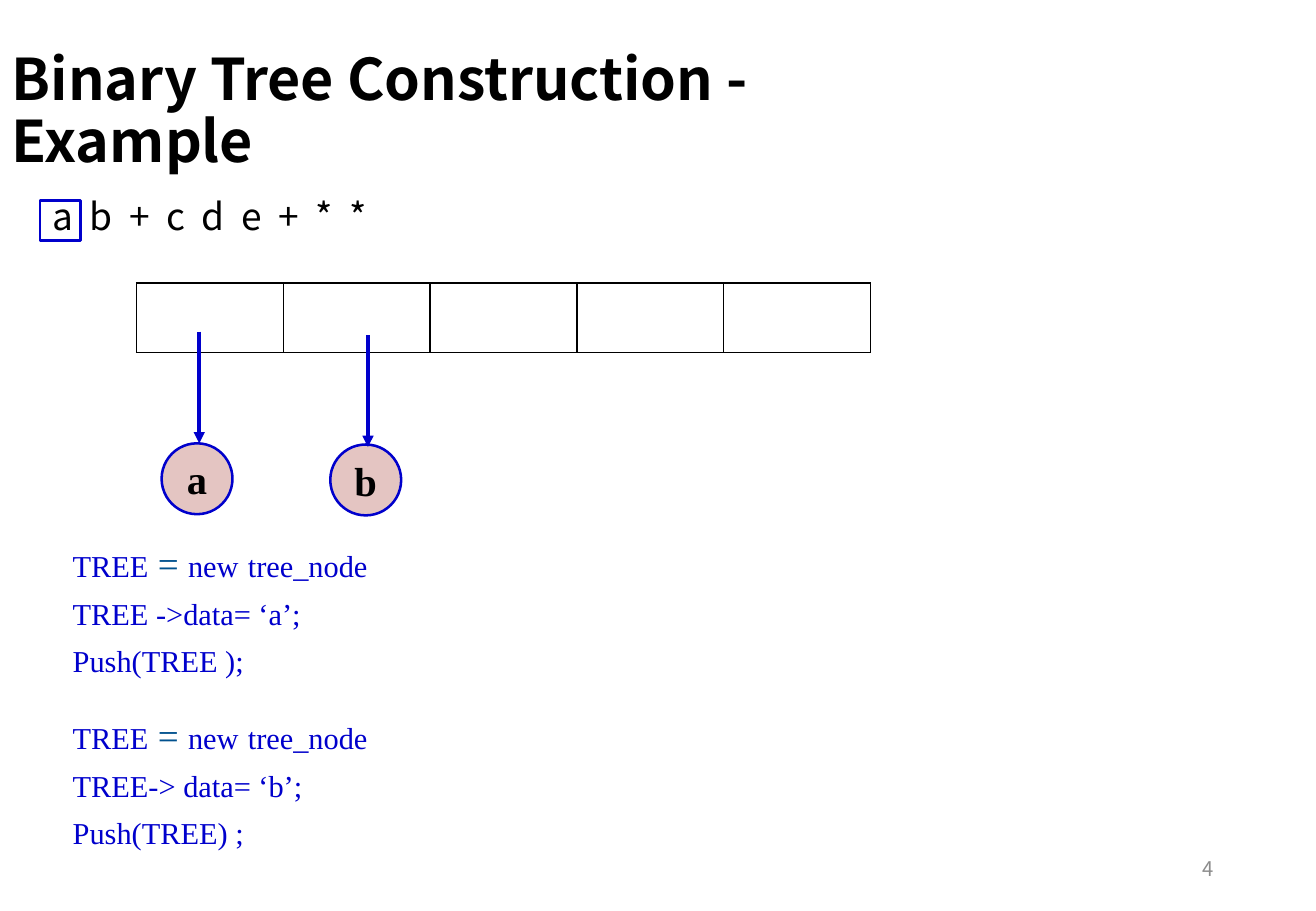
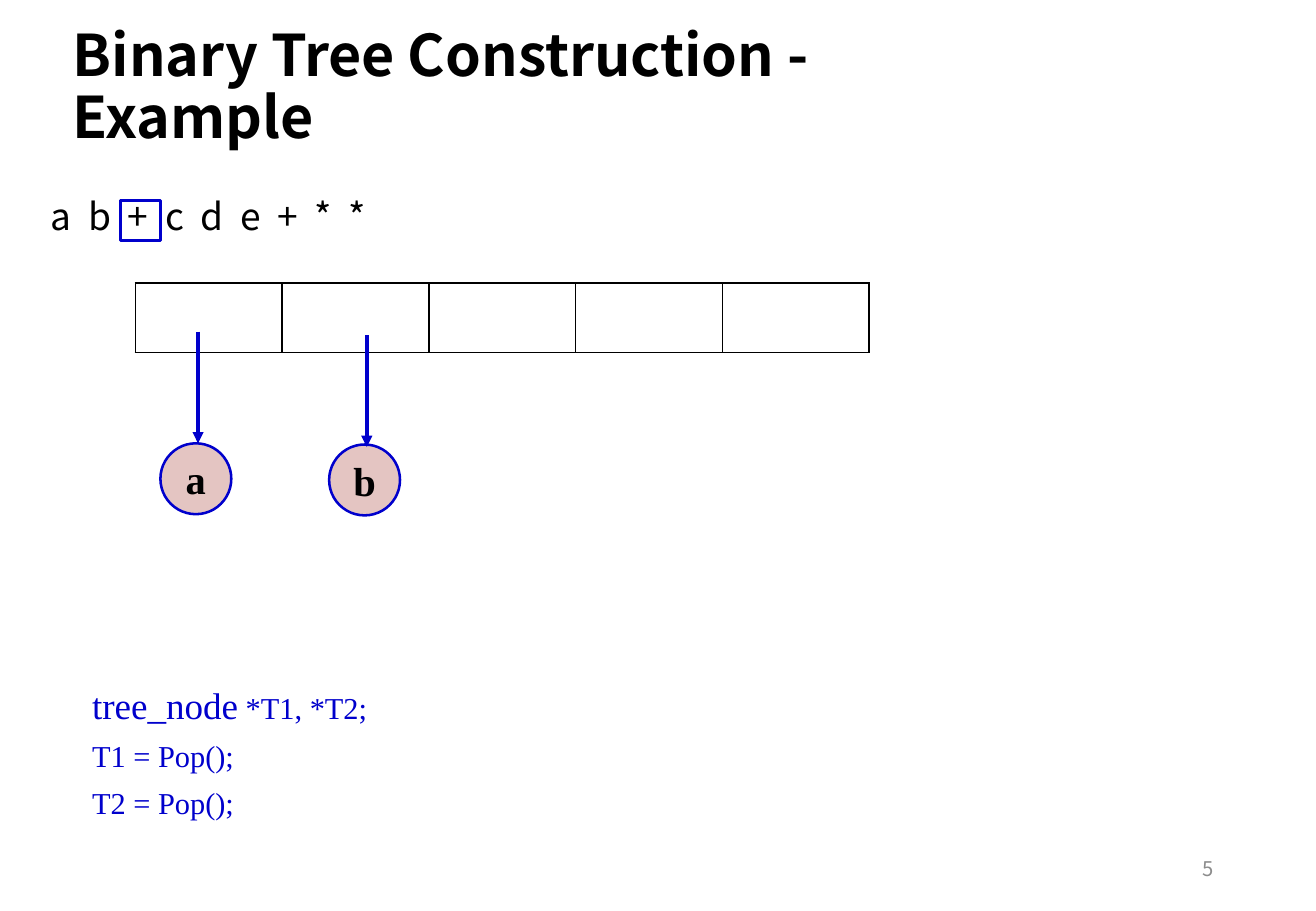
import pptx
import pptx.util
import pptx.dml.color
import pptx.enum.text
import pptx.enum.shapes
import pptx.oxml
import pptx.oxml.ns

Pt = pptx.util.Pt
ALIGN = pptx.enum.text.PP_ALIGN
MID = pptx.enum.text.MSO_ANCHOR.MIDDLE
SHAPE = pptx.enum.shapes.MSO_SHAPE

# Shared look
SANS, SERIF = "Noto Sans CJK SC", "Times New Roman"
BLACK, GREY, BLUE, TEAL, PINK = "000000", "8C8C8C", "0000CC", "00518E", "E4C5C2"
TITLE = "Binary Tree Construction - Example"
TOKENS = "ab+cde+**"
NEW = [("TREE", 18, BLUE), (" = ", 22, TEAL), ("new", 18, BLUE),
       (" ", 22, TEAL), ("tree_node", 18, BLUE)]


def color(code):
    return pptx.dml.color.RGBColor.from_string(code)


def style(run, size, code, face, bold=False):
    font = run.font
    font.size, font.name, font.bold = Pt(size), face, bold
    font.color.rgb = color(code)


def hang(para, width):
    props = para._p.get_or_add_pPr()
    props.set("marL", str(Pt(width)))
    props.set("indent", str(-Pt(width)))


def frame(slide, x, y, w, h):
    box = slide.shapes.add_textbox(Pt(x), Pt(y), Pt(w), Pt(h))
    box.text_frame.word_wrap = True
    return box.text_frame


def label(slide, area, text, size, code=BLACK, bold=False):
    body = frame(slide, *area)
    body.text = text
    para = body.paragraphs[0]
    style(para.runs[0], size, code, SANS, bold)
    return body, para


def title(slide, x, y):
    para = label(slide, (x, y, 570, 90), TITLE, 34, bold=True)[1]
    para.line_spacing = 0.9


def number(slide, text):
    body, para = label(slide, (551, 500.4, 175.6, 28.8), text, 12, GREY)
    body.vertical_anchor = MID
    para.alignment = ALIGN.RIGHT


def tokens(slide, x):
    para = label(slide, (x, 113.8, 279.4, 35.3), "  ".join(TOKENS), 22)[1]
    para.line_spacing, para.space_before = 0.9, Pt(10)
    hang(para, 18)


def solid(slide, kind, x, y, side, fill=None):
    item = slide.shapes.add_shape(kind, Pt(x), Pt(y), Pt(side), Pt(side))
    item.shadow.inherit = False
    if fill:
        item.fill.solid()
        item.fill.fore_color.rgb = color(fill)
    else:
        item.fill.background()
    item.line.color.rgb = color(BLUE)
    item.line.width = Pt(1.5)
    return item


def marker(slide, index):
    solid(slide, SHAPE.RECTANGLE, 23.8 * (index + 1), 118.8, 23.8)


def border(cell):
    props = cell._tc.get_or_add_tcPr()
    for side in ("lnL", "lnR", "lnT", "lnB"):
        props.append(pptx.oxml.parse_xml(
            f'<a:{side} {pptx.oxml.ns.nsdecls("a")} w="{Pt(1)}"><a:solidFill>'
            f'<a:srgbClr val="{BLACK}"/></a:solidFill></a:{side}>'))


def stack(slide, x):
    holder = slide.shapes.add_table(1, 5, Pt(x), Pt(167.8), Pt(435), Pt(41))
    table = holder.table
    table.first_row = table.horz_banding = False
    for cell in table.iter_cells():
        border(cell)
        cell.fill.background()


def node(slide, x, y, text):
    item = solid(slide, SHAPE.OVAL, x, y, 42, PINK)
    body = item.text_frame
    body.word_wrap = False
    body.vertical_anchor = MID
    body.text = text
    para = body.paragraphs[0]
    para.alignment = ALIGN.CENTER
    style(para.runs[0], 24, BLACK, SERIF, True)


def arrow(slide, x, top, end):
    line = slide.shapes.add_connector(
        pptx.enum.shapes.MSO_CONNECTOR.STRAIGHT, Pt(x), Pt(top), Pt(x), Pt(end))
    line.line.color.rgb = color(BLUE)
    line.line.width = Pt(2.25)
    space = pptx.oxml.ns.nsdecls("a")
    line.line._get_or_add_ln().append(
        pptx.oxml.parse_xml(f'<a:tailEnd {space} type="triangle"/>'))
    line._element.spPr.append(pptx.oxml.parse_xml(f"<a:effectLst {space}/>"))


def code(slide, x, y, h, lines):
    body = frame(slide, x, y, 279.4, h)
    for i, parts in enumerate(lines):
        para = body.add_paragraph() if i else body.paragraphs[0]
        para.space_before = Pt(6)
        hang(para, 21.6)
        for text, size, tint in parts:
            run = para.add_run()
            run.text = text
            style(run, size, tint, SERIF)


def plain(text):
    return [(text, 18, BLUE)]


def page(deck, num, head, index, shift):
    slide = deck.slides.add_slide(deck.slide_layouts[6])
    number(slide, num)
    title(slide, *head)
    tokens(slide, 23.8 + shift)
    stack(slide, 80.9 + shift)
    # Nodes on the stack, each with its pointer
    for i, text in enumerate("ab"):
        left = 95.8 + shift + 100 * i
        node(slide, left, 262.8 + 0.7 * i, text)
        drop = 2.2 * i
        arrow(slide, left + 22.3, 196.6 + drop, 262.8 + drop)
    marker(slide, index)
    return slide


def main():
    deck = pptx.Presentation()
    deck.slide_width, deck.slide_height = Pt(780), Pt(540)

    # Push both operands
    slide = page(deck, "4", (0, 26.6), 0, 0)
    code(slide, 36, 316.8, 95, [NEW, plain("TREE ->data= ‘a’;"), plain("Push(TREE );")])
    code(slide, 36, 419, 95, [NEW, plain("TREE-> data= ‘b’;"), plain("Push(TREE) ;")])

    # Pop them at the operator
    slide = page(deck, "5", (36, 12.2), 2, -0.7)
    code(slide, 47.5, 401, 108, [
        [("tree_node", 22, BLUE), (" *T1, *T2;", 18, BLUE)],
        plain("T1 = Pop();"), plain("T2 = Pop();")])

    deck.save("out.pptx")


if __name__ == "__main__":
    main()
